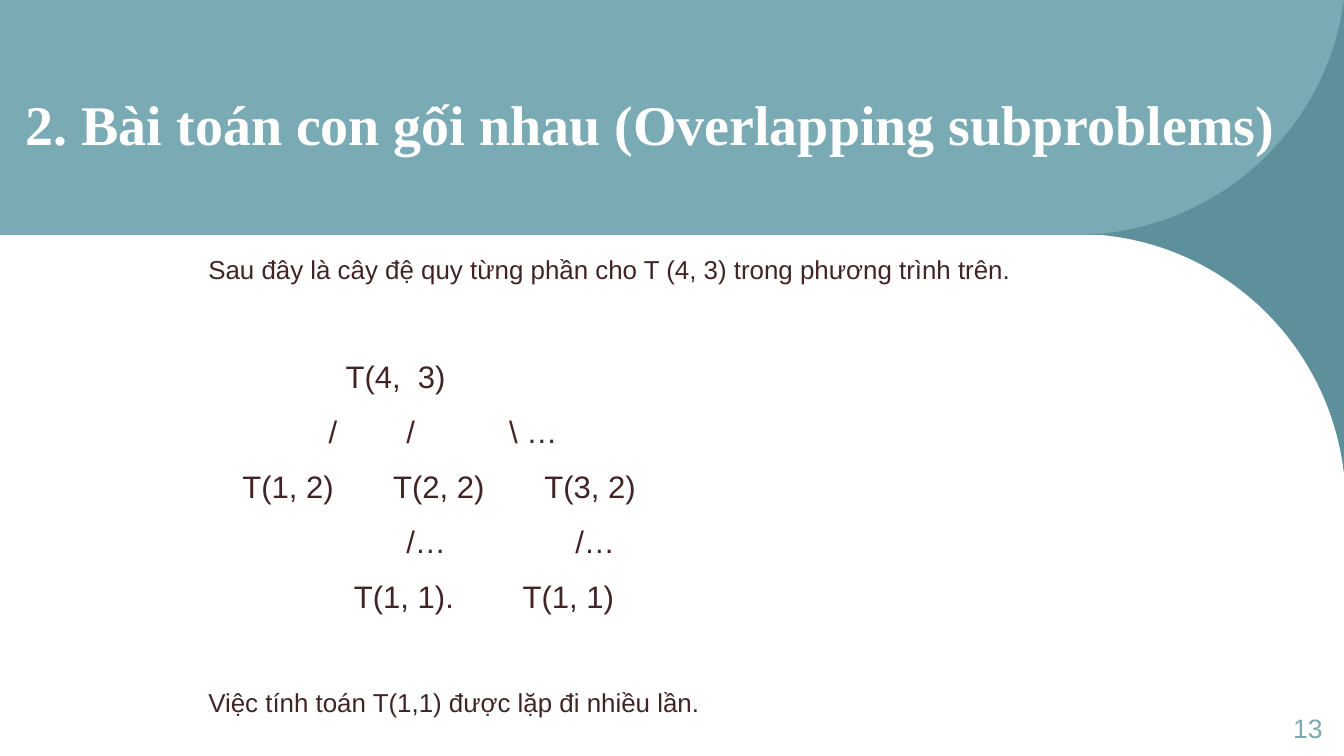
import pptx
import pptx.util
import pptx.dml.color
import pptx.enum.shapes
import pptx.enum.text
import pptx.oxml.ns
import lxml.etree

Cm = pptx.util.Cm
Pt = pptx.util.Pt
qn = pptx.oxml.ns.qn

COLORS = {"band": "7AAAB3", "shade": "528690", "text": "412425", "white": "FFFFFF"}
SLIDE_SIZE = (33.87, 19.05)
BACKDROPS = [("white", 19.05), ("band", 5.92)]
TITLE = "2. Bài toán con gối nhau (Overlapping subproblems)"
PAGE_NUMBER = "13"
NOTE_SIZE, TREE_SIZE = 18.5, 22.2

BODY = [
    ("Sau đây là cây đệ quy từng phần cho T (4, 3) trong phương trình trên.", NOTE_SIZE, 2.6, []),
    ("\tT(4,  3)", TREE_SIZE, 49, [3.46]),
    ("\t/\t/\t\\ …", TREE_SIZE, 10, [3.03, 4.99, 7.58]),
    ("\tT(1, 2)\tT(2, 2)\tT(3, 2)", TREE_SIZE, 10, [0.86, 4.66, 8.47]),
    ("\t/…\t/…", TREE_SIZE, 10, [4.99, 9.25]),
    ("\tT(1, 1).\tT(1, 1)", TREE_SIZE, 10, [3.67, 7.92]),
    ("Việc tính toán T(1,1) được lặp đi nhiều lần.", NOTE_SIZE, 49, []),
]

CORNER_START = (33.87, 0)
CORNER_PATH = [
    ("line", [(33.81, 0.38)]),
    ("curve", [(33.25, 3.33), (30.78, 5.59), (27.76, 5.89)]),
    ("line", [(27.38, 5.9)]),
    ("line", [(27.76, 5.92)]),
    ("curve", [(30.99, 6.22), (33.55, 8.79), (33.88, 12.01)]),
    ("line", [(33.91, 12.19)]),
    ("line", [(33.91, 0)]),
]
CORNER_LAYERS = [("band", 100), ("shade", 70)]


def rgb(name):
    return pptx.dml.color.RGBColor.from_string(COLORS[name])


def paint(shape, color, opacity=100):
    shape.shadow.inherit = False
    shape.line.fill.background()
    shape.fill.solid()
    shape.fill.fore_color.rgb = rgb(color)
    if opacity < 100:
        tint = shape._element.spPr.find(".//" + qn("a:srgbClr"))
        lxml.etree.SubElement(tint, qn("a:alpha"), val=str(opacity * 1000))


def add_corner(page, color, opacity):
    builder = page.shapes.build_freeform(*map(Cm, CORNER_START), scale=1.0)
    for _, points in CORNER_PATH:
        builder.add_line_segments([(Cm(x), Cm(y)) for x, y in points], close=False)
    builder.add_line_segments([], close=True)
    corner = builder.convert_to_shape()
    steps = iter(list(corner._element.iter(qn("a:lnTo"))))
    for kind, points in CORNER_PATH:
        group = [next(steps) for _ in points]
        if kind == "curve":
            curve = lxml.etree.Element(qn("a:cubicBezTo"))
            group[0].addprevious(curve)
            for step in group:
                curve.append(step[0])
                step.getparent().remove(step)
    paint(corner, color, opacity)


def add_box(page, left, top, width, height, anchor):
    box = page.shapes.add_textbox(Cm(left), Cm(top), Cm(width), Cm(height))
    box.text_frame.word_wrap = True
    box.text_frame.vertical_anchor = anchor
    return box


def format_para(para, size, color, font="Arial", bold=False):
    for span in para.runs:
        span.font.name = font
        span.font.size = Pt(size)
        span.font.bold = bold
        span.font.color.rgb = rgb(color)


def set_tabs(para, stops):
    tabs = lxml.etree.SubElement(para._p.get_or_add_pPr(), qn("a:tabLst"))
    for stop in stops:
        lxml.etree.SubElement(tabs, qn("a:tab"), pos=str(int(Cm(stop))), algn="l")


def main():
    deck = pptx.Presentation()
    deck.slide_width, deck.slide_height = map(Cm, SLIDE_SIZE)
    page = deck.slides.add_slide(deck.slide_layouts[6])
    anchors = pptx.enum.text.MSO_ANCHOR

    for color, height in BACKDROPS:
        backdrop = page.shapes.add_shape(
            pptx.enum.shapes.MSO_SHAPE.RECTANGLE, 0, 0, deck.slide_width, Cm(height)
        )
        paint(backdrop, color)
    for color, opacity in CORNER_LAYERS:
        add_corner(page, color, opacity)

    title = add_box(page, 0.4, 1.2, 33.87, 3.8, anchors.MIDDLE)
    title.text_frame.text = TITLE
    format_para(title.text_frame.paragraphs[0], 40, "white", "Times New Roman", True)

    body = add_box(page, 5, 6.2, 23.85, 12.04, anchors.TOP)
    body.text_frame.text = "\n".join(row[0] for row in BODY)
    for para, (_, size, space, stops) in zip(body.text_frame.paragraphs, BODY):
        para.line_spacing = 1.1
        para.space_before = Pt(space)
        format_para(para, size, "text")
        if stops:
            set_tabs(para, stops)

    number = add_box(page, 31.65, 17.88, 1.93, 1.02, anchors.MIDDLE)
    number.text_frame.text = PAGE_NUMBER
    para = number.text_frame.paragraphs[0]
    para.alignment = pptx.enum.text.PP_ALIGN.RIGHT
    para.line_spacing = 0.9
    para.space_after = Pt(6)
    format_para(para, 19, "band")

    deck.save("out.pptx")


if __name__ == "__main__":
    main()
